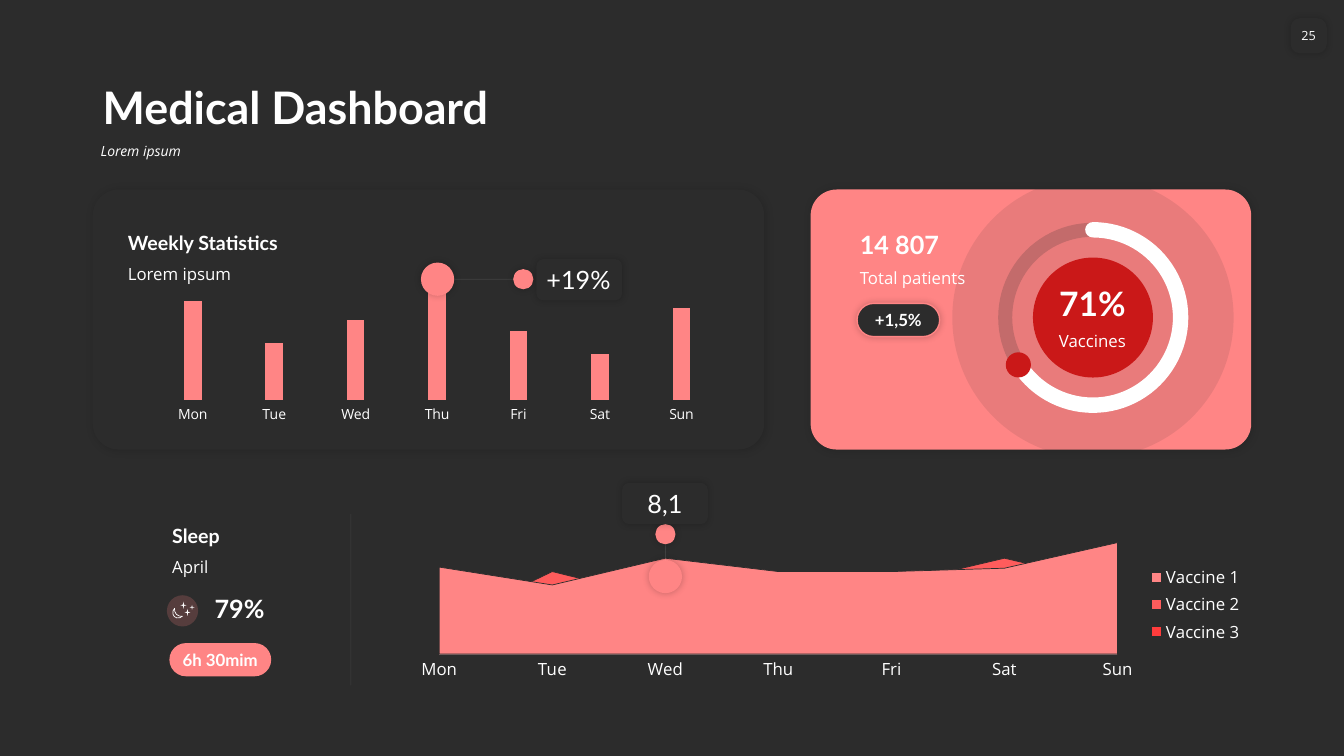
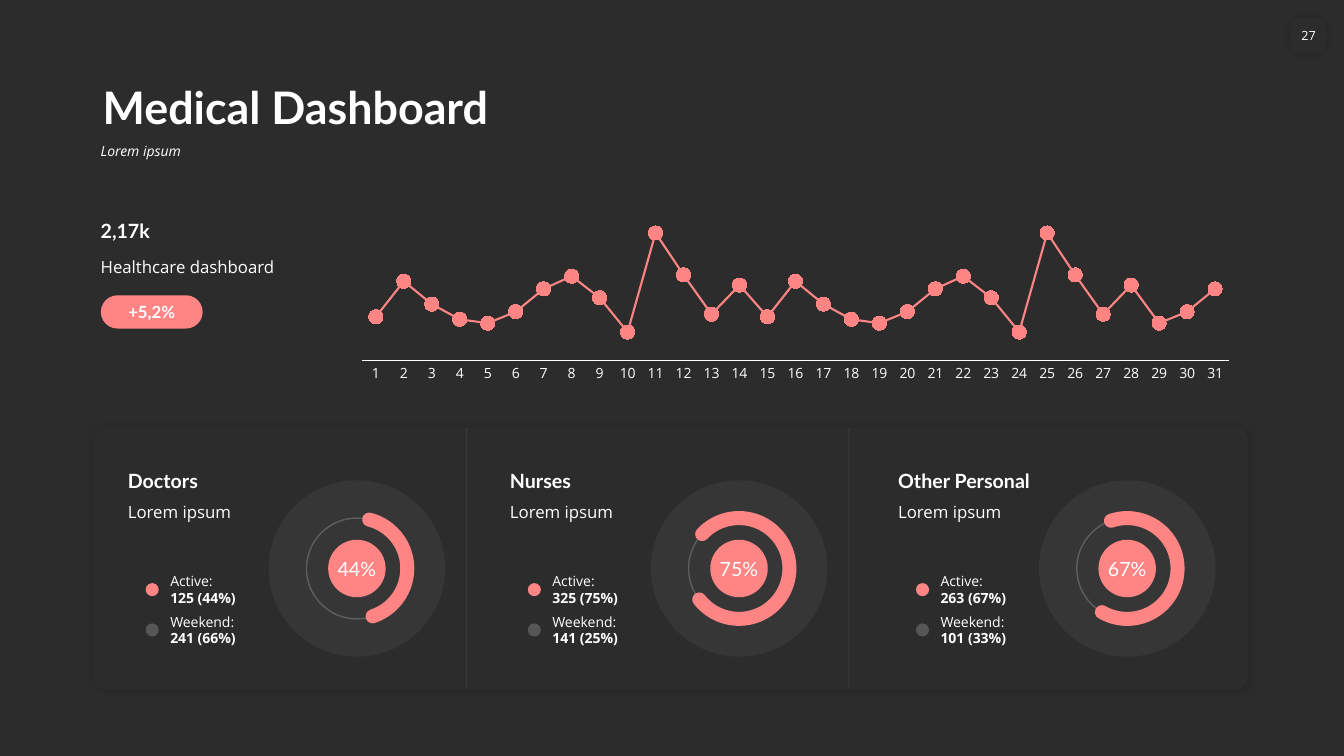
from dataclasses import dataclass

from lxml.etree import SubElement
from pptx import Presentation
from pptx.chart.data import CategoryChartData
from pptx.dml.color import RGBColor
from pptx.enum.chart import XL_CHART_TYPE, XL_LEGEND_POSITION, XL_MARKER_STYLE, XL_TICK_MARK
from pptx.enum.shapes import MSO_CONNECTOR, MSO_SHAPE
from pptx.enum.text import MSO_ANCHOR, PP_ALIGN
from pptx.oxml import parse_xml
from pptx.oxml.ns import nsdecls, qn
from pptx.util import Inches, Pt


@dataclass(frozen=True)
class Theme:
    """Colours, fonts, type sizes and shadows of the deck."""
    dark: str = "2C2C2C"
    white: str = "FFFFFF"
    coral: str = "FF8585"
    coral_mid: str = "FF5C5C"
    coral_deep: str = "FF3C3C"
    red: str = "CA1818"
    black: str = "000000"
    head: str = "Lato"
    body: str = "Open Sans"
    title: int = 32
    hero: int = 24
    figure: int = 18
    heading: int = 14
    text: int = 12
    small: int = 10
    page: int = 9
    soft: tuple = (20, 5, 0)
    panel: tuple = (15, 6, 1)


T = Theme()
DAYS = ["Mon", "Tue", "Wed", "Thu", "Fri", "Sat", "Sun"]


def rgb(color):
    """Turn a hex string into a colour."""
    return RGBColor.from_string(color)


def set_alpha(element, percent):
    """Make the colour inside an element partly transparent."""
    if percent < 100:
        clr = element.find(".//" + qn("a:srgbClr"))
        SubElement(clr, qn("a:alpha")).set("val", str(percent * 1000))


class Dashboard:
    """Draws styled elements on the current slide."""

    def __init__(self):
        """Open a wide presentation."""
        self.prs = Presentation()
        self.prs.slide_width, self.prs.slide_height = Inches(13.33), Inches(7.5)

    def new_slide(self, number):
        """Add a slide with background, title, subtitle and page number."""
        self.s = self.prs.slides.add_slide(self.prs.slide_layouts[6])
        self.s.background.fill.solid()
        self.s.background.fill.fore_color.rgb = rgb(T.dark)
        title = self.text("Medical Dashboard", 0.92, 0.58, 11.5, 0.8, T.title, T.head,
                          bold=True, anchor=MSO_ANCHOR.BOTTOM)
        subtitle = self.text("Lorem ipsum", 0.9, 1.38, 11.52, 0.36, T.small, italic=True)
        for sp in (title, subtitle):
            sp.text_frame.paragraphs[0].line_spacing = 0.9
        sp = self.rounded(12.8, 0.18, 0.36, 0.35, 0.27, T.dark, T.soft)
        self.label(sp, number, T.page, T.body, align=PP_ALIGN.CENTER,
                   anchor=MSO_ANCHOR.MIDDLE, inset=0, wrap=False)

    def label(self, sp, text, size, font=T.body, bold=False, italic=False,
              align=PP_ALIGN.LEFT, anchor=MSO_ANCHOR.TOP, inset=0.1, wrap=True):
        """Set and format the text of a shape."""
        tf = sp.text_frame
        tf.text = text
        tf.word_wrap, tf.vertical_anchor = wrap, anchor
        tf.margin_left = tf.margin_right = Inches(inset)
        tf.margin_top = tf.margin_bottom = Inches(0.05)
        for p in tf.paragraphs:
            p.alignment = align
            for r in p.runs:
                r.font.name, r.font.size = font, Pt(size)
                r.font.bold, r.font.italic = bold, italic
                r.font.color.rgb = rgb(T.white)

    def text(self, text, x, y, w, h, size, font=T.body, **style):
        """Add a text box."""
        sp = self.s.shapes.add_textbox(Inches(x), Inches(y), Inches(w), Inches(h))
        self.label(sp, text, size, font, **style)
        return sp

    def heading(self, text, x, y, w, h, size=T.heading, align=PP_ALIGN.LEFT):
        """Add a bold heading that stands on its lower edge."""
        self.text(text, x, y, w, h, size, T.head, bold=True, align=align,
                  anchor=MSO_ANCHOR.BOTTOM)

    def shape(self, kind, x, y, w, h, fill=None, shadow=None, alpha=100,
              line=None, width=1, line_alpha=100):
        """Add a preset shape."""
        sp = self.s.shapes.add_shape(kind, Inches(x), Inches(y), Inches(w), Inches(h))
        sp.shadow.inherit = False
        spPr = sp._element.spPr
        if fill:
            sp.fill.solid()
            sp.fill.fore_color.rgb = rgb(fill)
            set_alpha(spPr.find(qn("a:solidFill")), alpha)
        else:
            sp.fill.background()
        if line:
            sp.line.color.rgb = rgb(line)
            sp.line.width = Pt(width)
            set_alpha(spPr.find(qn("a:ln")), line_alpha)
        else:
            sp.line.fill.background()
        if shadow:
            strength, blur, dist = shadow
            outer = SubElement(spPr.find(qn("a:effectLst")), qn("a:outerShdw"),
                               blurRad=str(Pt(blur)), dist=str(Pt(dist)),
                               dir="2700000", algn="ctr", rotWithShape="0")
            SubElement(outer, qn("a:srgbClr"), val=T.black)
            set_alpha(outer, strength)
        return sp

    def rounded(self, x, y, w, h, radius, fill, shadow=None, **style):
        """Add a rounded rectangle."""
        sp = self.shape(MSO_SHAPE.ROUNDED_RECTANGLE, x, y, w, h, fill, shadow, **style)
        sp.adjustments[0] = radius
        return sp

    def pill(self, text, x, y, w, fill=T.coral, **style):
        """Add a pill with a bold label."""
        sp = self.rounded(x, y, w, 0.33, 0.5, fill, **style)
        self.label(sp, text, T.text, T.head, bold=True, align=PP_ALIGN.CENTER,
                   anchor=MSO_ANCHOR.MIDDLE, inset=0)

    def callout(self, text, x, y, align):
        """Add a floating value box."""
        sp = self.rounded(x, y, 0.85, 0.41, 0.17, T.dark, T.soft)
        self.label(sp, text, T.figure, T.head, align=align,
                   anchor=MSO_ANCHOR.MIDDLE, inset=0.08)

    def disc(self, cx, cy, d, fill=None, **style):
        """Add a circle around a centre."""
        return self.shape(MSO_SHAPE.OVAL, cx - d / 2, cy - d / 2, d, d, fill, **style)

    def arc(self, cx, cy, d, start, end, color, width):
        """Add a round-ended arc between two angles in degrees."""
        sp = self.shape(MSO_SHAPE.ARC, cx - d / 2, cy - d / 2, d, d, line=color, width=width)
        sp.adjustments[0], sp.adjustments[1] = start * 0.6, end * 0.6
        sp._element.spPr.find(qn("a:ln")).set("cap", "rnd")

    def rule(self, x1, y1, x2, y2):
        """Add a faint straight line."""
        c = self.s.shapes.add_connector(MSO_CONNECTOR.STRAIGHT, Inches(x1), Inches(y1),
                                        Inches(x2), Inches(y2))
        c.line.color.rgb, c.line.width = rgb(T.white), Pt(0.5)
        spPr = c._element.spPr
        set_alpha(spPr.find(qn("a:ln")), 10)
        SubElement(spPr, qn("a:effectLst"))

    def chart(self, kind, box, plot_box, cats, series, top, size, axis_line=True):
        """Add a chart with a hidden value axis and a fixed plot area."""
        data = CategoryChartData()
        data.categories = cats
        for name, values in series:
            data.add_series(name, values)
        chart = self.s.shapes.add_chart(kind, *map(Inches, box), data).chart
        chart.has_title = chart.has_legend = False
        chart.font.name, chart.font.size = T.body, Pt(size)
        chart.font.color.rgb = rgb(T.white)
        val, cat = chart.value_axis, chart.category_axis
        val.visible = val.has_major_gridlines = cat.has_major_gridlines = False
        val.minimum_scale, val.maximum_scale = 0, top
        cat.major_tick_mark = cat.minor_tick_mark = XL_TICK_MARK.NONE
        cat.tick_labels.font.size = Pt(size)
        if axis_line:
            cat.format.line.color.rgb, cat.format.line.width = rgb(T.white), Pt(0.75)
        else:
            cat.format.line.fill.background()
        area = chart._chartSpace.find(".//" + qn("c:plotArea"))
        for old in area.findall(qn("c:layout")):
            area.remove(old)
        parts = "".join(f'<c:{k} val="{v}"/>' for k, v in zip("xywh", plot_box))
        area.insert(0, parse_xml(
            f'<c:layout {nsdecls("c")}><c:manualLayout><c:layoutTarget val="inner"/>'
            f'<c:xMode val="edge"/><c:yMode val="edge"/>{parts}'
            '</c:manualLayout></c:layout>'))
        return chart


def weekly_card(d):
    """Draw the weekly column chart and its callout."""
    d.rounded(0.92, 1.88, 6.66, 2.58, 0.1, T.dark, T.panel)
    chart = d.chart(XL_CHART_TYPE.COLUMN_CLUSTERED, (1.39, 2.57, 5.89, 1.67),
                    (0.02, 0.02, 0.96, 0.82), DAYS,
                    [("Series 1", [86, 50, 70, 100, 60, 40, 80])], 120, T.small, False)
    plot = chart.plots[0]
    plot.gap_width, plot.overlap, plot.vary_by_categories = 360, -30, False
    fill = plot.series[0].format.fill
    fill.solid()
    fill.fore_color.rgb = rgb(T.coral)
    d.heading("Weekly Statistics", 1.17, 2.23, 2, 0.34)
    d.text("Lorem ipsum", 1.17, 2.57, 2, 0.3, T.text)
    d.disc(4.34, 2.77, 0.33, T.coral, shadow=T.soft)
    d.rule(4.51, 2.77, 5.12, 2.77)
    d.disc(5.19, 2.77, 0.2, T.coral, shadow=T.soft)
    d.callout("+19%", 5.32, 2.57, PP_ALIGN.LEFT)


def patients_card(d):
    """Draw the patients card with its progress ring."""
    cx, cy = 10.84, 3.15
    d.rounded(8.04, 1.88, 4.37, 2.58, 0.1, T.coral, T.panel)
    d.disc(cx, cy, 2.79, T.dark, alpha=10)
    d.disc(cx, cy, 1.19, T.red)
    d.disc(cx, cy, 1.74, line=T.dark, width=10, line_alpha=20)
    d.arc(cx, cy, 1.74, 270, 140.65, T.white, 11)
    d.disc(10.1, 3.62, 0.25, T.red)
    d.heading("71%", 10.24, 2.76, 1.19, 0.5, T.hero, PP_ALIGN.CENTER)
    d.text("Vaccines", 10.24, 3.23, 1.19, 0.3, T.text, align=PP_ALIGN.CENTER)
    d.heading("14 807", 8.43, 2.22, 1.86, 0.4, T.figure)
    d.text("Total patients", 8.43, 2.61, 1.86, 0.3, T.text)
    d.pill("+1,5%", 8.5, 3.01, 0.82, T.dark, shadow=T.soft, line=T.coral)


def sleep_block(d):
    """Draw the sleep figures and the night icon."""
    d.heading("Sleep", 1.61, 5.14, 1.66, 0.34)
    d.text("April", 1.61, 5.47, 1.66, 0.3, T.text)
    d.disc(1.81, 6.06, 0.31, T.coral, alpha=20)
    d.heading("79%", 2.03, 5.84, 1.24, 0.4, T.figure)
    d.pill("6h 30mim", 1.68, 6.38, 1.01)
    moon = d.shape(MSO_SHAPE.MOON, 1.72, 6.04, 0.06, 0.11, line=T.white, width=0.5)
    moon.rotation = 315
    for x, y, w, h in ((1.88, 6, 0.05, 0.05), (1.79, 5.97, 0.06, 0.07), (1.83, 6.04, 0.06, 0.07)):
        d.shape(MSO_SHAPE.STAR_4_POINT, x, y, w, h, T.white)
    d.rule(3.48, 6.8, 3.48, 5.1)


def vaccine_chart(d):
    """Draw the vaccine area chart and its callout."""
    chart = d.chart(XL_CHART_TYPE.AREA, (4.02, 5.21, 8.41, 1.58), (0.04, 0.11, 0.8, 0.7), DAYS, [
        ("Vaccine 1", [78, 62, 86, 74, 74, 77, 100]),
        ("Vaccine 2", [25, 74, 49, 37, 62, 86, 62]),
        ("Vaccine 3", [37, 49, 25, 25, 49, 62, 74])], 100, T.text)
    chart.plots[0].vary_by_categories = False
    chart._chartSpace.find(".//" + qn("c:crossBetween")).set("val", "midCat")
    for series, color in zip(chart.plots[0].series, (T.coral, T.coral_mid, T.coral_deep)):
        series.format.fill.solid()
        series.format.fill.fore_color.rgb = rgb(color)
        series.format.line.color.rgb, series.format.line.width = rgb(T.dark), Pt(0.5)
    chart.has_legend = True
    chart.legend.position = XL_LEGEND_POSITION.RIGHT
    chart.legend.include_in_layout = False
    chart.legend.font.name, chart.legend.font.size = T.body, Pt(T.text)
    chart.legend.font.color.rgb = rgb(T.white)
    d.disc(6.6, 5.72, 0.33, T.coral, shadow=T.soft)
    d.rule(6.6, 5.41, 6.6, 5.56)
    d.disc(6.6, 5.3, 0.2, T.coral, shadow=T.soft)
    d.callout("8,1", 6.17, 4.79, PP_ALIGN.CENTER)


def monthly_chart(d):
    """Draw the daily line chart and its summary."""
    values = [34, 62, 44, 32, 29, 38, 56, 66, 49, 22, 100, 67, 36, 59, 34, 62,
              44, 32, 29, 38, 56, 66, 49, 22, 100, 67, 36, 59, 29, 38, 56]
    chart = d.chart(XL_CHART_TYPE.LINE_MARKERS_STACKED, (3.41, 2.06, 8.96, 1.78),
                    (0.02, 0, 0.96, 0.85), [str(n) for n in range(1, 32)],
                    [("Series 1", values)], 120, T.small)
    chart.plots[0].vary_by_categories = False
    series = chart.plots[0].series[0]
    series.smooth = False
    series.format.line.color.rgb, series.format.line.width = rgb(T.coral), Pt(1.5)
    marker = series.marker
    marker.style, marker.size = XL_MARKER_STYLE.CIRCLE, 10
    marker.format.fill.solid()
    marker.format.fill.fore_color.rgb = rgb(T.coral)
    marker.format.line.color.rgb = rgb(T.coral)
    d.heading("2,17k", 0.9, 2.11, 2.13, 0.34)
    d.text("Healthcare dashboard", 0.9, 2.5, 2.13, 0.3, T.text)
    d.pill("+5,2%", 1, 2.93, 1.01)


def staff_panel(d, x, name, share, start, end, active, weekend):
    """Draw one staff group with its ring and key."""
    cx, cy = x + 2.37, 5.64
    d.disc(cx, cy, 1.75, T.white, alpha=5)
    d.disc(cx, cy, 1, line=T.white, line_alpha=20)
    d.heading(name, x, 4.59, 2.86, 0.34)
    d.text("Lorem ipsum", x, 4.93, 2.86, 0.3, T.text)
    core = d.disc(cx, cy, 0.57, T.coral)
    d.label(core, share, T.heading, T.head, align=PP_ALIGN.CENTER,
            anchor=MSO_ANCHOR.MIDDLE, inset=0, wrap=False)
    d.arc(cx, cy, 1, start, end, T.coral, 10)
    for y, label, value, color, alpha in ((5.85, "Active:", active, T.coral, 100),
                                          (6.25, "Weekend:", weekend, T.white, 20)):
        d.disc(x + 0.34, y, 0.13, color, alpha=alpha)
        sp = d.text(f"{label}\n{value}", x + 0.42, y - 0.22, 1.18, 0.44, T.small,
                    anchor=MSO_ANCHOR.MIDDLE)
        sp.text_frame.paragraphs[1].runs[0].font.bold = True


def main():
    """Build both dashboards."""
    d = Dashboard()
    d.new_slide("25")
    for draw in (weekly_card, patients_card, sleep_block, vaccine_chart):
        draw(d)
    d.new_slide("27")
    monthly_chart(d)
    d.rounded(0.92, 4.24, 11.46, 2.6, 0.05, T.dark, T.panel)
    staff_panel(d, 1.17, "Doctors", "44%", 284.17, 71.77, "125 (44%)", "241 (66%)")
    staff_panel(d, 4.96, "Nurses", "75%", 223.06, 142.01, "325 (75%)", "141 (25%)")
    staff_panel(d, 8.81, "Other Personal", "67%", 251.29, 120.02, "263 (67%)", "101 (33%)")
    for x in (4.63, 8.42):
        d.rule(x, 6.84, x, 4.24)
    d.prs.save("out.pptx")


if __name__ == "__main__":
    main()
